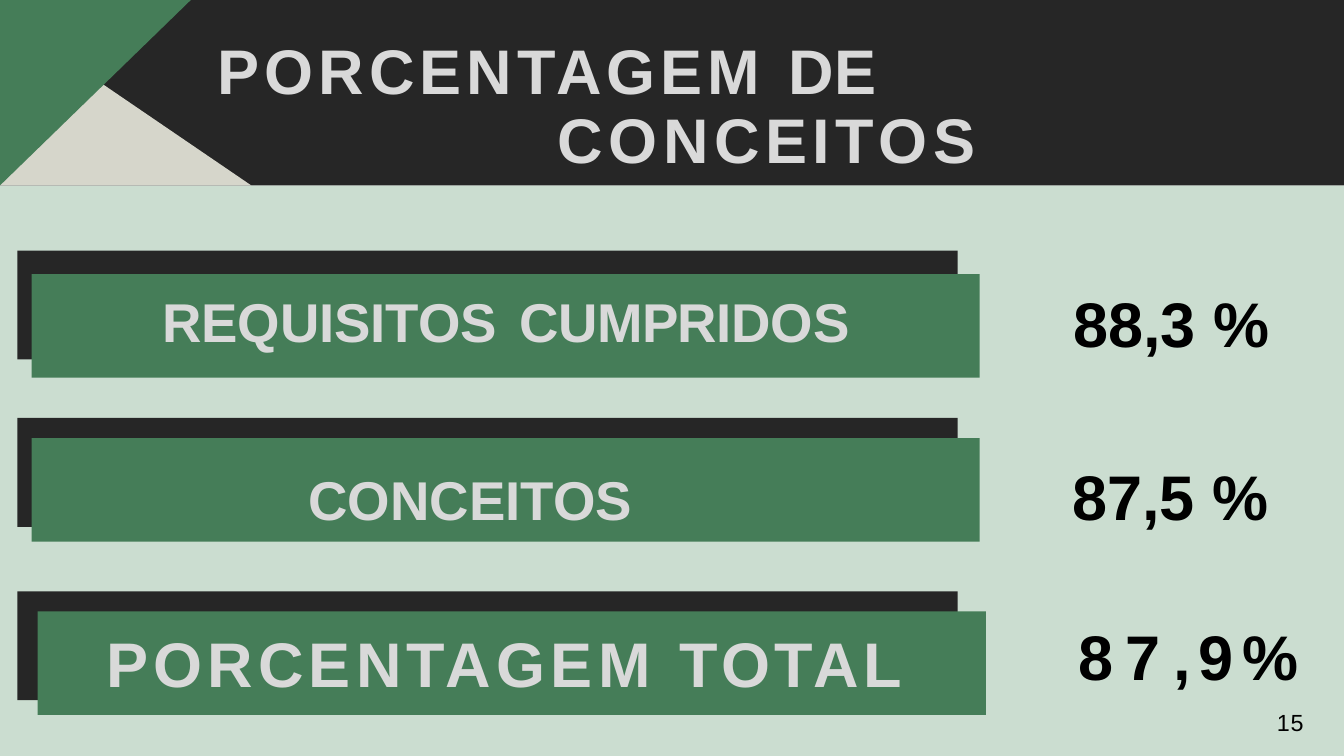
"""Build the slide of concept percentages."""
from lxml import etree
from pptx import Presentation
from pptx import util as u
from pptx.dml.color import RGBColor
from pptx.enum import shapes, text
from pptx.oxml.ns import qn

W, H, HEAD = 20, 11.25, 2.76
DARK, GREEN, MINT, CREAM = "262626", "457D58", "CBDDD0", "F5F5E8"
GREY, BLACK = "D9D9D9", "000000"
BIG, MID, SMALL = 67.5, 58.5, 25
BACK, FRONT = (13.99, 1.62), (14.11, 1.54)

TITLE = [("PORCENTAGEM ", 5.5), ("DE ", -0.1), ("CONCEITOS", 6)]
# Each row: back top, front left and top, then label and value as (left, middle, size, runs)
ROWS = [
    (3.73, 0.47, 4.08,
     (2.42, 4.77, MID, [("R E Q U I S I T O S", -8.3), (" ", 7.6),
                        ("C U M P R I D O S", -8.3)]),
     (15.97, 4.79, BIG, [("88,3 %", 0)])),
    (6.22, 0.47, 6.52,
     (4.59, 7.42, MID, [("CONCEITOS", 0)]),
     (15.96, 7.37, BIG, [("87,5 %", 0)])),
    (8.8, 0.56, 9.1,
     (1.58, 9.85, BIG, [("PORCENTAGEM ", 5.7), ("TOTAL", 5.1)]),
     (16.05, 9.75, BIG, [("87", 13.1), (",9", 8.9), ("%", 6.5)])),
]
PAGE = (19, 10.74, SMALL, [("15", 1)])


def paint(shape, hue):
    shape.shadow.inherit = False
    shape.fill.solid()
    shape.fill.fore_color.rgb = RGBColor.from_string(hue)
    shape.line.fill.background()


def bar(slide, x, y, w, h, hue):
    box = slide.shapes.add_shape(
        shapes.MSO_SHAPE.RECTANGLE, *map(u.Inches, (x, y, w, h)))
    paint(box, hue)


def wedge(slide, points, hue):
    first, *rest = [tuple(map(u.Inches, p)) for p in points]
    pen = slide.shapes.build_freeform(*first)
    pen.add_line_segments(rest, close=True)
    shape = pen.convert_to_shape()
    paint(shape, hue)
    return shape


def write(frame, runs, size, hue, bold=True):
    frame.word_wrap = True
    frame.auto_size = text.MSO_AUTO_SIZE.NONE
    frame.margin_left = frame.margin_right = 0
    frame.margin_top = frame.margin_bottom = 0
    para = frame.paragraphs[0]
    para.alignment = text.PP_ALIGN.LEFT
    font = para.font
    font.name, font.size, font.bold = "Arial", u.Pt(size), bold
    font.color.rgb = RGBColor.from_string(hue)
    for words, gap in runs:
        run = para.add_run()
        run.text = words
        run._r.get_or_add_rPr().set("spc", str(round(gap * 100)))
    return para


def label(slide, x, mid, size, runs, hue, bold=True):
    high = size / 60
    wide = min(13, W - x)
    box = slide.shapes.add_textbox(
        *map(u.Inches, (x, mid - high / 2, wide, high)))
    box.text_frame.vertical_anchor = text.MSO_ANCHOR.MIDDLE
    write(box.text_frame, runs, size, hue, bold)


def head(slide):
    title = slide.shapes.title
    title.left, title.top, title.width, title.height = map(
        u.Inches, (0.93, 0.43, 14.5, 2.21))
    frame = title.text_frame
    frame.vertical_anchor = text.MSO_ANCHOR.TOP
    para = write(frame, TITLE, BIG, GREY)
    frame.margin_top = u.Inches(0.14)
    para.line_spacing, para.space_before = u.Pt(73.8), u.Pt(9.8)
    props = para._p.get_or_add_pPr()
    props.set("marL", str(u.Inches(7.37)))
    props.set("indent", str(u.Inches(-5.06)))
    slide.shapes._spTree.append(title._element)


def main():
    deck = Presentation()
    deck.slide_width, deck.slide_height = u.Inches(W), u.Inches(H)
    slide = deck.slides.add_slide(deck.slide_layouts[5])
    bar(slide, 0, HEAD, W, H - HEAD, MINT)
    bar(slide, 0, 0, W, HEAD, DARK)
    sand = wedge(slide, [(3.74, HEAD), (0, HEAD), (0, 0.21)], CREAM)
    tint = sand._element.spPr.find(qn("a:solidFill"))[0]
    etree.SubElement(tint, qn("a:alpha")).set("val", "85000")
    wedge(slide, [(0, HEAD), (0, 0), (2.84, 0)], GREEN)
    head(slide)
    for top, left, front, name, value in ROWS:
        bar(slide, 0.26, top, *BACK, DARK)
        bar(slide, left, front, *FRONT, GREEN)
        label(slide, *name, GREY)
        label(slide, *value, BLACK)
    label(slide, *PAGE, BLACK, bold=False)
    deck.save("out.pptx")


if __name__ == "__main__":
    main()
